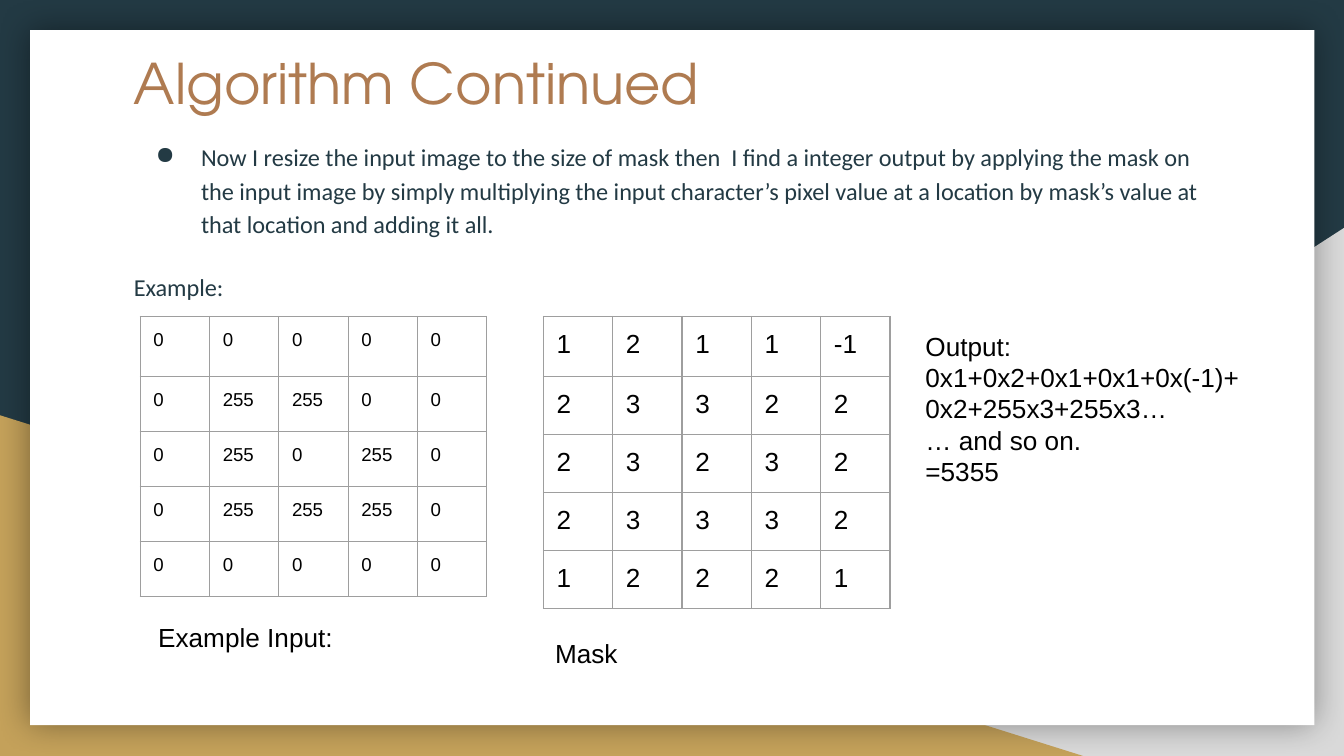
from lxml.etree import SubElement as Sub
from pptx import Presentation
from pptx.dml.color import RGBColor as Rgb
from pptx.enum.shapes import MSO_SHAPE as Kind
from pptx.enum.text import MSO_ANCHOR as Anchor, PP_ALIGN as Align
from pptx.oxml.ns import qn
from pptx.util import Cm, Pt

HUES = {"navy": "233A44", "gray": "D9D9D9", "gold": "C4A15A", "white": "FFFFFF",
        "copper": "AF7B51", "black": "000000", "rule": "9E9E9E"}
INSET = Cm(0.25)
FRAME = {"word_wrap": True, "vertical_anchor": Anchor.TOP,
         "margin_left": INSET, "margin_right": INSET,
         "margin_top": INSET, "margin_bottom": INSET}
CELL = {key: val for key, val in FRAME.items() if key != "word_wrap"}
TITLE = {"name": "TeX Gyre Adventor", "size": Pt(30), "hue": "copper"}
BODY = {"name": "Calibri", "size": Pt(13), "hue": "navy"}
PLAIN = {"name": "Arial", "size": Pt(14), "hue": "black"}
SMALL = {**PLAIN, "size": Pt(10)}

INPUT = [[0, 0, 0, 0, 0], [0, 255, 255, 0, 0], [0, 255, 0, 255, 0],
         [0, 255, 255, 255, 0], [0, 0, 0, 0, 0]]
MASK = [[1, 2, 1, 1, -1], [2, 3, 3, 2, 2], [2, 3, 2, 3, 2],
        [2, 3, 3, 3, 2], [1, 2, 2, 2, 1]]
INTRO = ("Now I resize the input image to the size of mask then  I find a integer "
         "output by applying the mask on the input image by simply multiplying the "
         "input character’s pixel value at a location by mask’s value at that "
         "location and adding it all.")
OUTPUT = ["Output:", "0x1+0x2+0x1+0x1+0x(-1)+", "0x2+255x3+255x3…",
          "… and so on.", "=5355"]


def apply(item, style):
    for key, val in style.items():
        if key == "hue":
            item.color.rgb = Rgb.from_string(HUES[val])
        else:
            setattr(item, key, val)


def write(frame, lines, style):
    frame.text = "\n".join(lines)
    for para in frame.paragraphs:
        para.alignment = Align.LEFT
        for run in para.runs:
            apply(run.font, style)


def add_text(slide, box, lines, style):
    frame = slide.shapes.add_textbox(*map(Cm, box)).text_frame
    apply(frame, FRAME)
    write(frame, lines, style)
    return frame


def add_panel(slide, kind, box, hue):
    panel = slide.shapes.add_shape(kind, *map(Cm, box))
    panel.shadow.inherit = False
    panel.fill.solid()
    panel.fill.fore_color.rgb = Rgb.from_string(HUES[hue])
    panel.line.fill.background()
    return panel


def add_glow(panel):
    """Give the panel a soft, centred shadow."""
    glow = Sub(panel.element.spPr.find(qn("a:effectLst")), qn("a:outerShdw"),
               blurRad=str(Pt(18)), dist="0", dir="0", algn="ctr", rotWithShape="0")
    tint = Sub(glow, qn("a:srgbClr"), val=HUES["black"])
    Sub(tint, qn("a:alpha"), val="40000")


def add_back(slide):
    """Draw the coloured corners and the white sheet."""
    corner = add_panel(slide, Kind.RIGHT_TRIANGLE, (9.96, 4.31, 15.44, 9.98), "gray")
    corner.element.spPr.xfrm.set("flipH", "1")
    add_panel(slide, Kind.RIGHT_TRIANGLE, (0, 7.85, 20.47, 6.44), "gold")
    add_glow(add_panel(slide, Kind.RECTANGLE, (0.57, 0.57, 24.27, 13.14), "white"))


def add_title(slide, text):
    title = slide.shapes.title
    title.element.getparent().append(title.element)  # in front of the sheet
    place = {"left": 2.28, "top": 0.66, "width": 20.85, "height": 1.7}
    apply(title, {key: Cm(val) for key, val in place.items()})
    apply(title.text_frame, FRAME)
    write(title.text_frame, [text], TITLE)


def add_bullet(para):
    props = para._p.get_or_add_pPr()
    props.set("marL", str(Cm(1.27)))
    props.set("indent", str(Cm(-0.86)))
    Sub(Sub(props, qn("a:buClr")), qn("a:srgbClr"), val=HUES["navy"])
    Sub(props, qn("a:buChar"), char="●")


def add_body(slide):
    frame = add_text(slide, (2.28, 2.36, 20.85, 9.25), [INTRO, "Example:"], BODY)
    for para in frame.paragraphs:
        para.line_spacing = 1.15
    intro, label = frame.paragraphs
    label.space_before = Pt(16)
    add_bullet(intro)


def add_rules(cell):
    props = cell._tc.get_or_add_tcPr()
    for side in "LRTB":
        line = Sub(props, qn(f"a:ln{side}"), w=str(Pt(0.75)))
        Sub(Sub(line, qn("a:solidFill")), qn("a:srgbClr"), val=HUES["rule"])


def add_grid(slide, left, rows, style):
    heights = [1.14] + [1.04] * (len(rows) - 1)
    wide = 1.31
    count = len(rows[0])
    box = (left, 5.98, wide * count, sum(heights))
    table = slide.shapes.add_table(len(rows), count, *map(Cm, box)).table
    apply(table, {"first_row": False, "horz_banding": False})
    for col in table.columns:
        col.width = Cm(wide)
    for row, high, nums in zip(table.rows, heights, rows):
        row.height = Cm(high)
        for cell, num in zip(row.cells, nums):
            add_rules(cell)
            cell.fill.background()
            apply(cell, CELL)
            write(cell.text_frame, [str(num)], style)


def main():
    deck = Presentation()
    deck.slide_width, deck.slide_height = Cm(25.4), Cm(14.29)
    slide = deck.slides.add_slide(deck.slide_layouts[5])
    slide.background.fill.solid()
    slide.background.fill.fore_color.rgb = Rgb.from_string(HUES["navy"])
    add_back(slide)
    add_title(slide, "Algorithm Continued")
    add_body(slide)
    add_text(slide, (2.74, 11.5, 5.16, 1.2), ["Example Input:"], PLAIN)
    add_grid(slide, 2.65, INPUT, SMALL)
    add_grid(slide, 10.27, MASK, PLAIN)
    add_text(slide, (17.24, 5.99, 7, 5.25), OUTPUT, PLAIN)
    add_text(slide, (10.24, 11.8, 6.78, 1.05), ["Mask"], PLAIN)
    deck.save("out.pptx")


if __name__ == "__main__":
    main()
